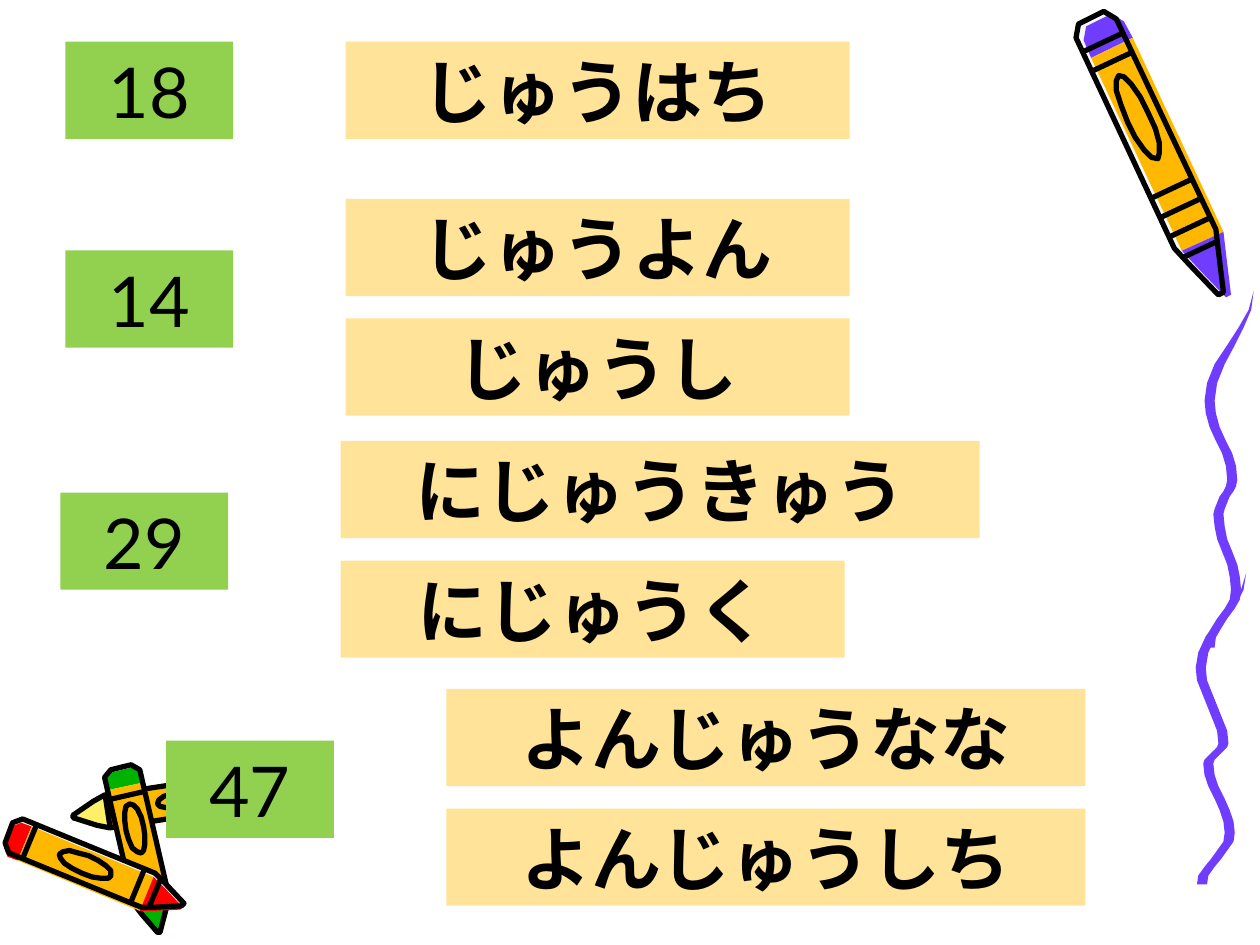
import math
from dataclasses import dataclass
from itertools import pairwise

from lxml import etree
from pptx import Presentation
from pptx import util as u
from pptx.dml.color import RGBColor
from pptx.enum import shapes, text
from pptx.oxml import ns


@dataclass(frozen=True)
class Theme:
    ink: str = "000000"
    number: str = "92D050"
    reading: str = "FFE399"
    purple: str = "703DFF"
    orange: str = "FFB800"
    white: str = "F8F8F8"
    red: str = "FF0000"
    green: str = "00B200"
    wood: str = "FFEF66"
    latin: str = "Lato"
    kana: str = "Noto Sans CJK JP"
    size: u.Pt = u.Pt(40)
    stroke: u.Pt = u.Pt(3)


THEME = Theme()
UNIT = u.Cm(0.0254)  # drawing unit: a hundredth of an inch

# Cards, in cm
NUMBER_WIDTH, CARD_HEIGHT = 3.38, 1.96
READING_OFFSET, READING_PITCH = 5.65, 2.41
SHORT_WIDTH, LONG_WIDTH = 10.16, 12.88
PAIR_DROP = 1.04  # how far a number sits below the first of two readings

# number, left, top of the first reading, readings
QUIZ = [
    ("18", 1.32, 0.84, ["じゅうはち"]),
    ("14", 1.32, 4.01, ["じゅうよん", "じゅうし"]),
    ("29", 1.22, 8.89, ["にじゅうきゅう", "にじゅうく"]),
    ("47", 3.35, 13.89, ["よんじゅうなな", "よんじゅうしち"]),
]


@dataclass(frozen=True)
class Crayon:
    """A crayon from butt to tip; its colour is printed slightly off its outline."""
    butt: tuple
    tip: tuple
    width: float
    colour: str
    bands: tuple  # shares of the length
    oval: float   # centre of the label, as a share of the length
    misprint: tuple

    def place(self, points, shift=(0, 0)):
        """Turn (share of length, share of width) into a place on the slide."""
        dx, dy = self.tip[0] - self.butt[0], self.tip[1] - self.butt[1]
        across = self.width / math.hypot(dx, dy)
        return [(self.butt[0] + along * dx + side * across * dy + shift[0],
                 self.butt[1] + along * dy - side * across * dx + shift[1])
                for along, side in points]


# Parts of any crayon, as (share of length, share of width)
CAP_END, NIB_START = 0.1, 0.8
CAP = [(0.04, -0.5), (0, -0.3), (0, 0.3), (0.04, 0.5), (CAP_END, 0.5), (CAP_END, -0.5)]
BARREL = [(CAP_END, -0.5), (CAP_END, 0.5), (NIB_START, 0.5), (NIB_START, -0.5)]
NIB = [(NIB_START, -0.5), (NIB_START, 0.5), (0.87, 0.36), (1, 0.05), (1, -0.05),
       (0.87, -0.36)]
SILHOUETTE = CAP[:4] + NIB[1:] + NIB[:1]

BIG_CRAYON = Crayon((866, 14), (969, 233), 36, THEME.purple,
                    (0.09, 0.16, 0.62, 0.69, 0.76, 0.84), 0.36, (6, 2))
SMALL_CRAYONS = [
    Crayon((195, 627), (58, 648), 26, THEME.wood, (NIB_START,), 0.36, (1, 2)),
    Crayon((96, 609), (126, 740), 29, THEME.green, (0.17, NIB_START), 0.37, (1, 2)),
    Crayon((7, 661), (145, 718), 29, THEME.red, (0.12, 0.74, 0.84), 0.44, (-1, 3)),
]

# Where each curl of the drawn wave turns, in drawing units
RIBBON_WIDTH = 8
CURLS = [
    [(985, 455), (953, 530), (971, 590), (959, 606), (976, 661), (954, 702)],
    [(991, 231), (960, 318), (978, 381), (967, 408), (981, 468), (960, 514)],
]


def set_format(target, values):
    for name, value in values.items():
        setattr(target, name, value)


def paint(shape, colour):
    shape.shadow.inherit = False
    shape.fill.solid()
    shape.fill.fore_color.rgb = RGBColor.from_string(colour)
    shape.line.fill.background()


def add_freeform(group, points, closed=True):
    builder = group.shapes.build_freeform(*points[0], scale=UNIT)
    builder.add_line_segments(points[1:], close=closed)
    return builder.convert_to_shape()


def add_area(group, points, colour):
    paint(add_freeform(group, points), colour)


def add_contour(group, points):
    contour = add_freeform(group, points)
    contour.shadow.inherit = False
    contour.fill.background()
    contour.line.color.rgb = RGBColor.from_string(THEME.ink)
    contour.line.width = THEME.stroke


def add_band(group, start, end):
    ends = [round(value * UNIT) for value in (*start, *end)]
    band = group.shapes.add_connector(shapes.MSO_CONNECTOR.STRAIGHT, *ends)
    band.line.color.rgb = RGBColor.from_string(THEME.ink)
    band.line.width = THEME.stroke
    etree.SubElement(band._element.spPr, ns.qn("a:effectLst"))


def oval_points(centre, half_length=0.15, half_width=0.25, corners=16):
    angles = [math.tau * corner / corners for corner in range(corners)]
    return [(centre + half_length * math.cos(angle), half_width * math.sin(angle))
            for angle in angles]


def add_crayon(page, crayon):
    group = page.shapes.add_group_shape()
    # Paper white, then the misprinted colours
    add_area(group, crayon.place(SILHOUETTE), THEME.white)
    for part, colour in ((CAP, crayon.colour), (BARREL, THEME.orange), (NIB, crayon.colour)):
        add_area(group, crayon.place(part, crayon.misprint), colour)
    # Ink on top
    for part in (SILHOUETTE, oval_points(crayon.oval)):
        add_contour(group, crayon.place(part))
    for along in crayon.bands:
        half = 0.5 if along <= NIB_START else 0.4
        add_band(group, *crayon.place([(along, -half), (along, half)]))


def smooth_path(turns, steps=6):
    """Swing from turn to turn along half cosine waves."""
    path = [turns[0]]
    for (x1, y1), (x2, y2) in pairwise(turns):
        for step in range(1, steps + 1):
            share = step / steps
            swing = (1 - math.cos(math.pi * share)) / 2
            path.append((x1 + (x2 - x1) * swing, y1 + (y2 - y1) * share))
    return path


def add_wave(page):
    group = page.shapes.add_group_shape()
    for turns in CURLS:
        right_edge = smooth_path(turns)
        # The ribbon starts as a point and soon reaches its full width
        left_edge = [(x - RIBBON_WIDTH * min(1, index / 4), y)
                     for index, (x, y) in enumerate(right_edge)]
        nudge = RIBBON_WIDTH / 2
        ribbon = [(x + nudge, y) for x, y in right_edge + left_edge[::-1]]
        add_area(group, ribbon, THEME.purple)


def add_card(page, words, left, top, width, colour, font_name, bold):
    box = page.shapes.add_shape(shapes.MSO_SHAPE.RECTANGLE, u.Cm(left), u.Cm(top),
                                u.Cm(width), u.Cm(CARD_HEIGHT))
    paint(box, colour)
    set_format(box.text_frame, {"word_wrap": True,
                                "vertical_anchor": text.MSO_ANCHOR.MIDDLE})
    para = box.text_frame.paragraphs[0]
    para.alignment = text.PP_ALIGN.CENTER
    span = para.add_run()
    span.text = words
    set_format(span.font, {"name": font_name, "size": THEME.size, "bold": bold})
    span.font.color.rgb = RGBColor.from_string(THEME.ink)
    etree.SubElement(span.font._element, ns.qn("a:ea"), typeface=font_name)


def add_question(page, number, left, top, readings):
    drop = PAIR_DROP if len(readings) > 1 else 0
    add_card(page, number, left, top + drop, NUMBER_WIDTH, THEME.number, THEME.latin, False)
    for row, reading in enumerate(readings):
        width = LONG_WIDTH if len(reading) > 5 else SHORT_WIDTH
        add_card(page, reading, left + READING_OFFSET, top + row * READING_PITCH, width,
                 THEME.reading, THEME.kana, True)


def main():
    deck = Presentation()
    set_format(deck, {"slide_width": u.Cm(25.4), "slide_height": u.Cm(19.05)})
    page = deck.slides.add_slide(deck.slide_layouts[6])

    # Crayon decoration
    for crayon in SMALL_CRAYONS:
        add_crayon(page, crayon)
    add_wave(page)
    add_crayon(page, BIG_CRAYON)

    # Numbers and their readings
    for question in QUIZ:
        add_question(page, *question)

    deck.save("out.pptx")


if __name__ == "__main__":
    main()
